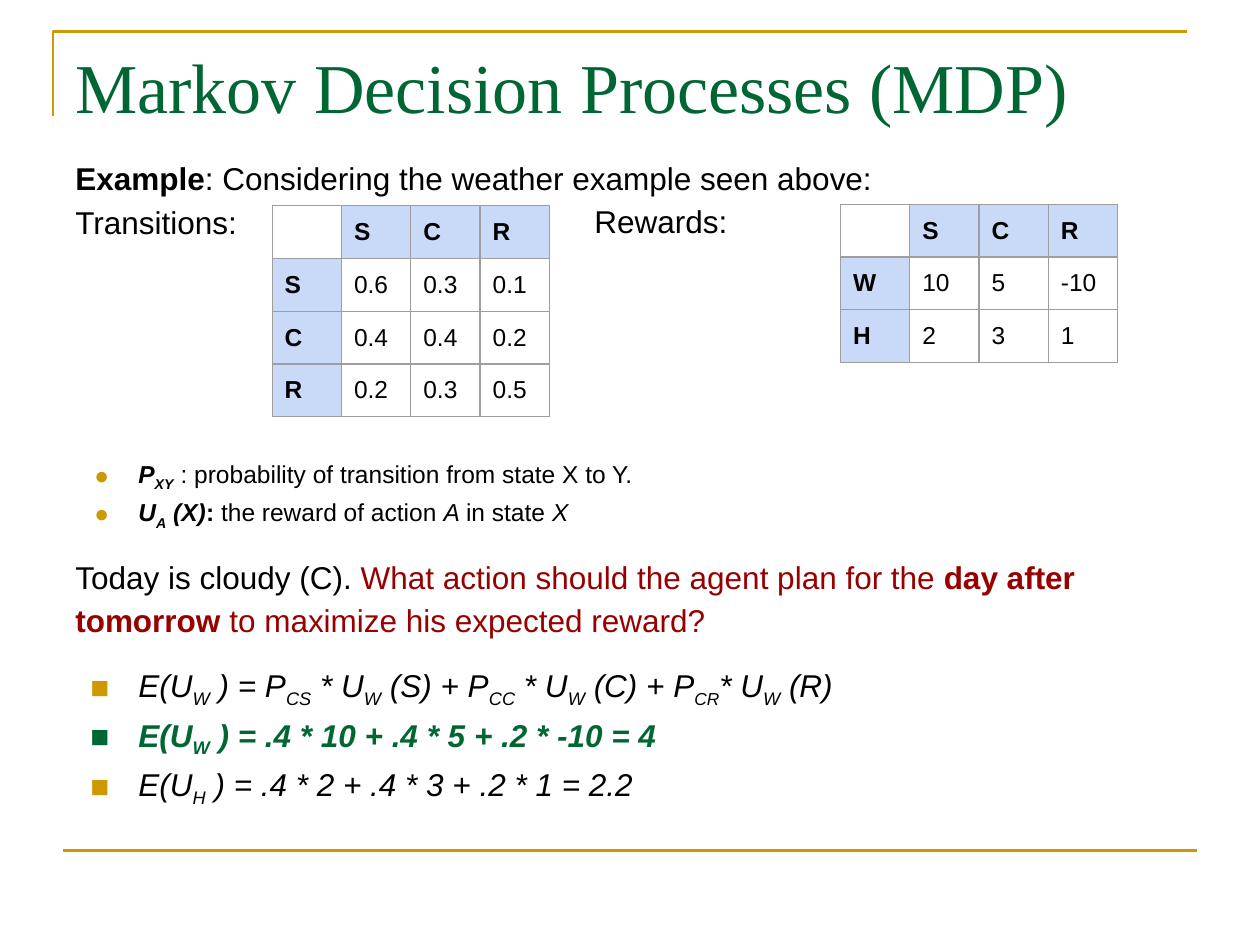
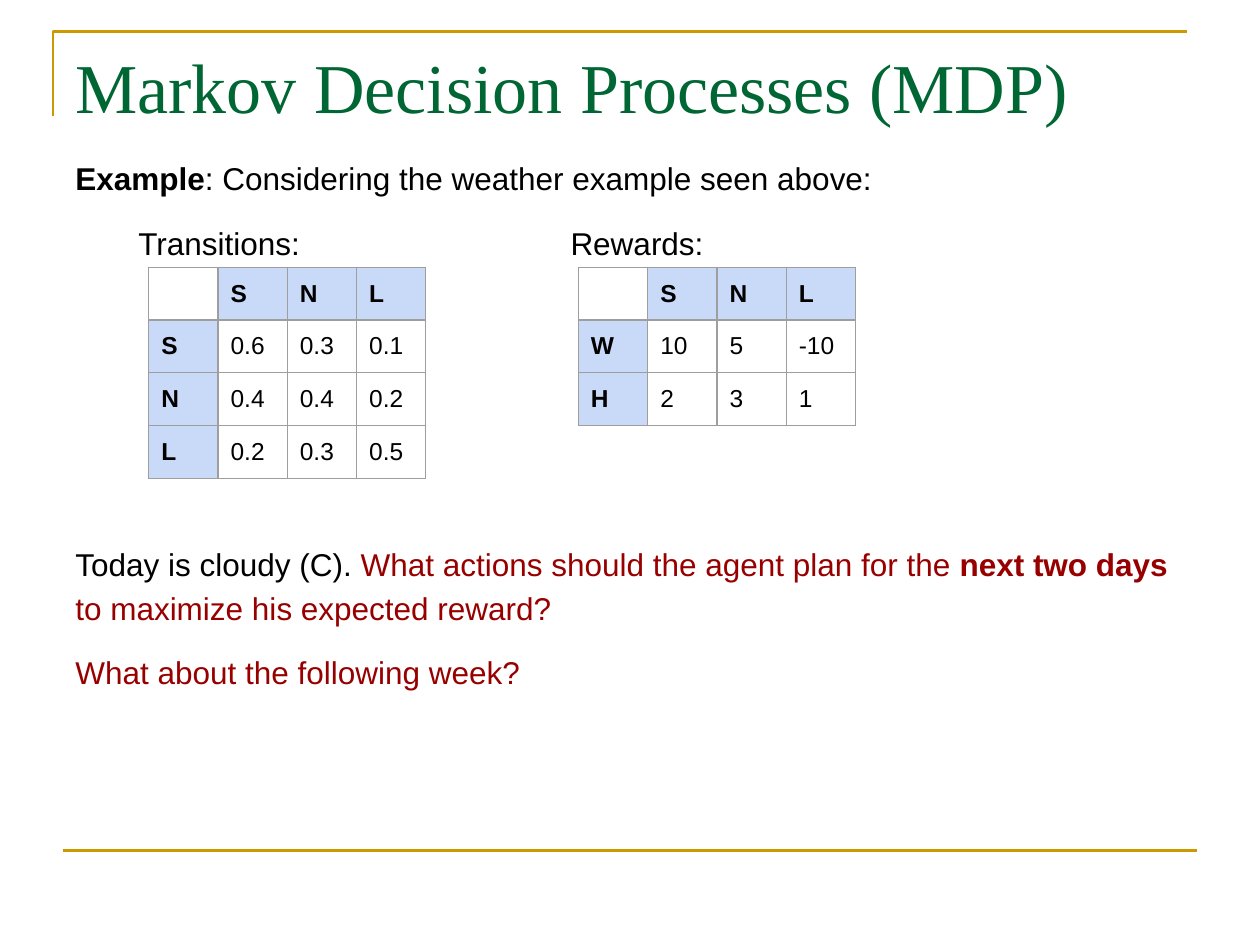
from lxml.etree import SubElement
from pptx import Presentation
from pptx.dml.color import RGBColor
from pptx.enum.shapes import MSO_CONNECTOR as CONNECTOR
from pptx.enum.text import MSO_ANCHOR as ANCHOR
from pptx.oxml import parse_xml
from pptx.oxml.ns import nsdecls, qn
from pptx.util import Inches, Pt

GOLD, GREEN, RED, BLACK = "CC9900", "006633", "980000", "000000"
HEADER_BLUE, GRID_GREY = "C9DAF8", "9E9E9E"
CELL_W, CELL_H = 0.55, 0.42
LINE_SPACING = 1.15


def rgb(hex_colour):
    return RGBColor.from_string(hex_colour)


def write(paragraph, text, size=18, bold=False, italic=False, colour=BLACK, font="Arial"):
    """Add text to a paragraph; parts in {braces} become subscripts."""
    for number, part in enumerate(text.replace("}", "{").split("{")):
        if not part:
            continue
        run = paragraph.add_run()
        run.text = part
        run.font.size, run.font.name = Pt(size), font
        run.font.bold, run.font.italic = bold, italic
        run.font.color.rgb = rgb(colour)
        if number % 2:
            run._r.get_or_add_rPr().set("baseline", "-25000")


# Run formats
strong = dict(bold=True)
question = dict(colour=RED)
key_question = dict(colour=RED, bold=True)
formula = dict(italic=True)
best_formula = dict(italic=True, bold=True, colour=GREEN)
note = dict(size=14)
note_italic = dict(size=14, italic=True)
note_bold = dict(size=14, bold=True)
note_term = dict(size=14, bold=True, italic=True)

# Paragraph formats: before in points, indent and hang in inches
dot = dict(indent=0.5, hang=-0.35, bullet="●")
square = dict(indent=0.5, hang=-0.38, bullet="■")

example = (dict(before=0), [("Example", strong),
                            (": Considering the weather example seen above:", {})])

planning_day = [
    example,
    (dict(before=0), [("Transitions:", {})]),
    (dict(dot, before=122), [
        ("P{XY}", note_term),
        (" : probability of transition from state X to Y.", note)]),
    (dict(dot, before=0), [
        ("U{A} (X)", note_term), (": ", note_bold),
        ("the reward of action ", note), ("A ", note_italic),
        ("in state ", note), ("X", note_italic)]),
    (dict(before=12), [
        ("Today is cloudy (C). ", {}),
        ("What action should the agent plan for the ", question),
        ("day after tomorrow ", key_question),
        ("to maximize his expected reward?", question)]),
    (dict(square, before=12), [
        ("E(U{W} ) = P{CS} * U{W} (S) + P{CC} * U{W} (C) + P", formula),
        ("{CR}", dict(formula, size=17)),
        ("* U{W} (R)", formula)]),
    (dict(square, before=0, bullet_colour=GREEN), [
        ("E(U{W} ) = .4 * 10 + .4 * 5 + .2 * -10 = 4", best_formula)]),
    (dict(square, before=0), [
        ("E(U{H} ) = .4 * 2 + .4 * 3 + .2 * 1 = 2.2", formula)]),
]

planning_week = [
    example,
    (dict(before=12, indent=0.5), [("Transitions:", {})]),
    (dict(before=159), [
        ("Today is cloudy (C). ", {}),
        ("What actions should the agent plan for the ", question),
        ("next two days ", key_question),
        ("to maximize his expected reward?", question)]),
    (dict(before=12), [("What about the following week?", question)]),
]

# Table values shared by both slides
transitions = [["0.6", "0.3", "0.1"], ["0.4", "0.4", "0.2"], ["0.2", "0.3", "0.5"]]
rewards = [["10", "5", "-10"], ["2", "3", "1"]]

# Body, weather states, places of the rewards label, transitions and rewards
slides = [
    (planning_day, "SCR", (4.62, 1.51), (2.16, 1.63), (6.67, 1.62)),
    (planning_week, "SNL", (4.43, 1.68), (1.18, 2.12), (4.59, 2.12)),
]

prs = Presentation()
prs.slide_width, prs.slide_height = Inches(10), Inches(7.5)

for body, states, label_at, transitions_at, rewards_at in slides:
    shapes = prs.slides.add_slide(prs.slide_layouts[6]).shapes

    # Gold corner and bottom rule
    outline = shapes.build_freeform(Inches(0.42), Inches(0.92))
    outline.add_line_segments([(Inches(0.42), Inches(0.25)),
                               (Inches(9.42), Inches(0.25))], close=False)
    corner = outline.convert_to_shape()
    corner.shadow.inherit = False
    corner.fill.background()
    rule = shapes.add_connector(CONNECTOR.STRAIGHT, Inches(0.5), Inches(6.75),
                                Inches(9.5), Inches(6.75))
    SubElement(rule._element.spPr, qn("a:effectLst"))
    for gold_line in (corner.line, rule.line):
        gold_line.color.rgb = rgb(GOLD)
        gold_line.width = Pt(1.5)

    # Title
    title = shapes.add_textbox(Inches(0.5), Inches(0.3), Inches(9), Inches(1.25)).text_frame
    title.word_wrap = True
    title.vertical_anchor = ANCHOR.TOP
    write(title.paragraphs[0], "Markov Decision Processes (MDP)",
          size=40, colour=GREEN, font="Times New Roman")

    # Body
    story = shapes.add_textbox(Inches(0.5), Inches(1.17), Inches(9), Inches(5.54)).text_frame
    story.word_wrap = True
    for number, (layout, runs) in enumerate(body):
        paragraph = story.add_paragraph() if number else story.paragraphs[0]
        props = paragraph._p.get_or_add_pPr()
        props.set("marL", str(Inches(layout.get("indent", 0))))
        props.set("indent", str(Inches(layout.get("hang", 0))))
        if "bullet" in layout:
            colour = SubElement(props, qn("a:buClr"))
            SubElement(colour, qn("a:srgbClr"), val=layout.get("bullet_colour", GOLD))
            SubElement(props, qn("a:buFont"), typeface="Arial")
            SubElement(props, qn("a:buChar"), char=layout["bullet"])
        paragraph.line_spacing = LINE_SPACING
        paragraph.space_before = Pt(layout["before"])
        for text, style in runs:
            write(paragraph, text, **style)

    # Rewards label, level with the transitions label
    left, top = label_at
    label = shapes.add_textbox(Inches(left), Inches(top), Inches(1.5), Inches(0.45)).text_frame
    label.word_wrap = True
    label.paragraphs[0].line_spacing = LINE_SPACING
    write(label.paragraphs[0], "Rewards:")

    # Transition and reward tables
    for (left, top), row_names, values in ((transitions_at, states, transitions),
                                           (rewards_at, "WH", rewards)):
        grid = [["", *states]] + [[name, *row] for name, row in zip(row_names, values)]
        columns = len(grid[0])
        table = shapes.add_table(len(grid), columns, Inches(left), Inches(top),
                                 Inches(CELL_W * columns), Inches(CELL_H * len(grid))).table
        table.first_row = table.horz_banding = False
        for column in table.columns:
            column.width = Inches(CELL_W)
        for r, row in enumerate(grid):
            table.rows[r].height = Inches(CELL_H)
            for c, text in enumerate(row):
                cell = table.cell(r, c)
                cell.margin_left = cell.margin_right = cell.margin_top = Inches(0.1)
                cell.margin_bottom = Inches(0.08)
                cell_props = cell._tc.get_or_add_tcPr()
                for side in "LRTB":
                    cell_props.append(parse_xml(
                        f'<a:ln{side} {nsdecls("a")} w="{Pt(0.75)}"><a:solidFill>'
                        f'<a:srgbClr val="{GRID_GREY}"/></a:solidFill></a:ln{side}>'))
                is_header = r == 0 or c == 0
                if text and is_header:
                    cell.fill.solid()
                    cell.fill.fore_color.rgb = rgb(HEADER_BLUE)
                else:
                    cell.fill.background()
                paragraph = cell.text_frame.paragraphs[0]
                if text:
                    write(paragraph, text, size=14, bold=is_header)
                else:
                    SubElement(paragraph._p, qn("a:endParaRPr"), sz="1400")

prs.save("out.pptx")
